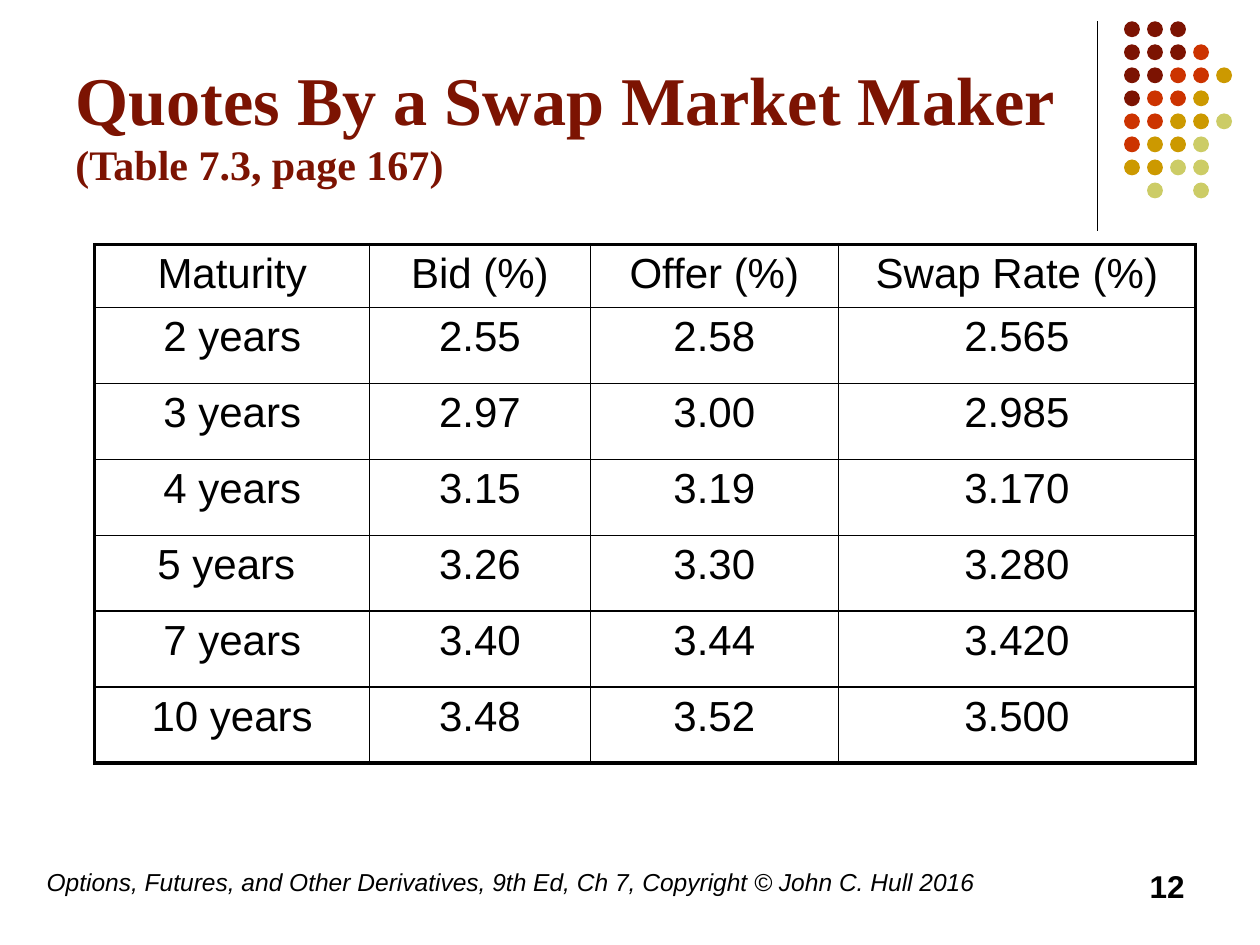
from lxml.etree import SubElement as Sub
from pptx import Presentation as Deck
from pptx.dml.color import RGBColor as Rgb
from pptx.enum.shapes import MSO_CONNECTOR as Conn, MSO_SHAPE as Kind
from pptx.enum.text import MSO_ANCHOR as Anchor, PP_ALIGN as Align
from pptx.oxml.ns import qn
from pptx.util import Cm, Pt

HUES = {"ink": "000000", "dark": "7C1302", "red": "CC3300",
        "gold": "CC9900", "lime": "CCCC66"}

# One letter per dot: the first letter of its colour
DOTS = ["ddd", "dddr", "ddrrg", "drrg", "rrggl", "rggl", "ggll", " l l"]
TONES = {name[0]: name for name in ("dark", "red", "gold", "lime")}

QUOTES = [
    ("Maturity", "Bid (%)", "Offer (%)", "Swap Rate (%)"),
    ("2 years", "2.55", "2.58", "2.565"),
    ("3 years", "2.97", "3.00", "2.985"),
    ("4 years", "3.15", "3.19", "3.170"),
    ("5 years ", "3.26", "3.30", "3.280"),
    ("7 years", "3.40", "3.44", "3.420"),
    ("10 years", "3.48", "3.52", "3.500"),
]


class Page:
    sans, serif = "Arial", "Times New Roman"
    thin, thick = 1, 2.25

    def __init__(self, slide):
        self.slide = slide
        self.shapes = slide.shapes

    def hue(self, name):
        return Rgb.from_string(HUES[name])

    def style(self, font, face, hue, size=None, bold=False, italic=False):
        font.name, font.bold, font.italic = face, bold, italic
        font.color.rgb = self.hue(hue)
        if size:
            font.size = Pt(size)

    def text(self, box, runs, face, hue, size=None, align=Align.LEFT,
             anchor=Anchor.TOP, **look):
        """Add one paragraph; runs are (words, size) pairs."""
        frame = self.shapes.add_textbox(*map(Cm, box)).text_frame
        frame.word_wrap = True
        frame.vertical_anchor = anchor
        para = frame.paragraphs[0]
        para.alignment = align
        for words, points in runs:
            run = para.add_run()
            run.text = words
            if points:
                run.font.size = Pt(points)
        self.style(para.font, face, hue, size, **look)

    def line(self, x1, y1, x2, y2, width):
        rule = self.shapes.add_connector(Conn.STRAIGHT, *map(Cm, (x1, y1, x2, y2)))
        rule.line.color.rgb = self.hue("ink")
        rule.line.width = Pt(width)
        Sub(rule._element.spPr, qn("a:effectLst"))

    def dots(self, left, top, step, size, rows):
        group = self.shapes.add_group_shape()
        for r, row in enumerate(rows):
            for c, tone in enumerate(row):
                if tone == " ":
                    continue
                dot = group.shapes.add_shape(
                    Kind.OVAL, Cm(left + c * step), Cm(top + r * step),
                    Cm(size), Cm(size))
                dot.shadow.inherit = False
                dot.fill.solid()
                dot.fill.fore_color.rgb = self.hue(TONES[tone])
                dot.line.fill.background()

    def edge(self, cell, side, width):
        props = cell._tc.get_or_add_tcPr()
        line = Sub(props, qn("a:ln" + side), w=str(Pt(width)))
        fill = Sub(line, qn("a:solidFill"))
        Sub(fill, qn("a:srgbClr"), val=HUES["ink"])

    def table(self, left, top, cols, rows, data, size):
        grid = self.shapes.add_table(
            len(rows), len(cols), Cm(left), Cm(top),
            Cm(sum(cols)), Cm(sum(rows))).table
        grid.first_row = grid.horz_banding = False
        for col, width in zip(grid.columns, cols):
            col.width = Cm(width)
        for row, height in zip(grid.rows, rows):
            row.height = Cm(height)
        for r, row in enumerate(data):
            for c, words in enumerate(row):
                cell = grid.cell(r, c)
                outer = {"L": c == 0, "R": c == len(cols) - 1,
                         "T": r == 0, "B": r == len(rows) - 1}
                for side, rim in outer.items():
                    self.edge(cell, side, self.thick if rim else self.thin)
                cell.fill.background()
                cell.text = words
                para = cell.text_frame.paragraphs[0]
                para.alignment = Align.CENTER
                self.style(para.font, self.sans, "ink", size)


def main():
    deck = Deck()
    deck.slide_width, deck.slide_height = Cm(25.4), Cm(19.05)
    page = Page(deck.slides.add_slide(deck.slide_layouts[6]))

    # Corner ornament
    page.line(22.12, 0.43, 22.12, 4.65, 0.75)
    page.dots(22.66, 0.43, 3.25 / 7, 0.32, DOTS)

    # Footer
    page.text((0.69, 17.35, 21, 1.27),
              [("Options, Futures, and Other Derivatives, 9th Ed, Ch 7, "
                "Copyright © John C. Hull 2016", None)],
              page.sans, "ink", 14, italic=True)

    # Title
    page.text((1.27, 0.33, 20.96, 3.61),
              [("Quotes By a Swap Market Maker ", 39),
               ("(Table 7.3, page 167)", 24)],
              page.serif, "dark", anchor=Anchor.BOTTOM, bold=True)

    # Quotes
    page.table(1.91, 4.93, [5.54, 4.45, 5, 7.2], [1.27] + [1.53] * 6,
               QUOTES, 24)

    # Page number
    page.text((18.21, 17.35, 5.92, 1.27), [("12", None)],
              page.sans, "ink", 18, align=Align.RIGHT, bold=True)

    deck.save("out.pptx")


if __name__ == "__main__":
    main()
